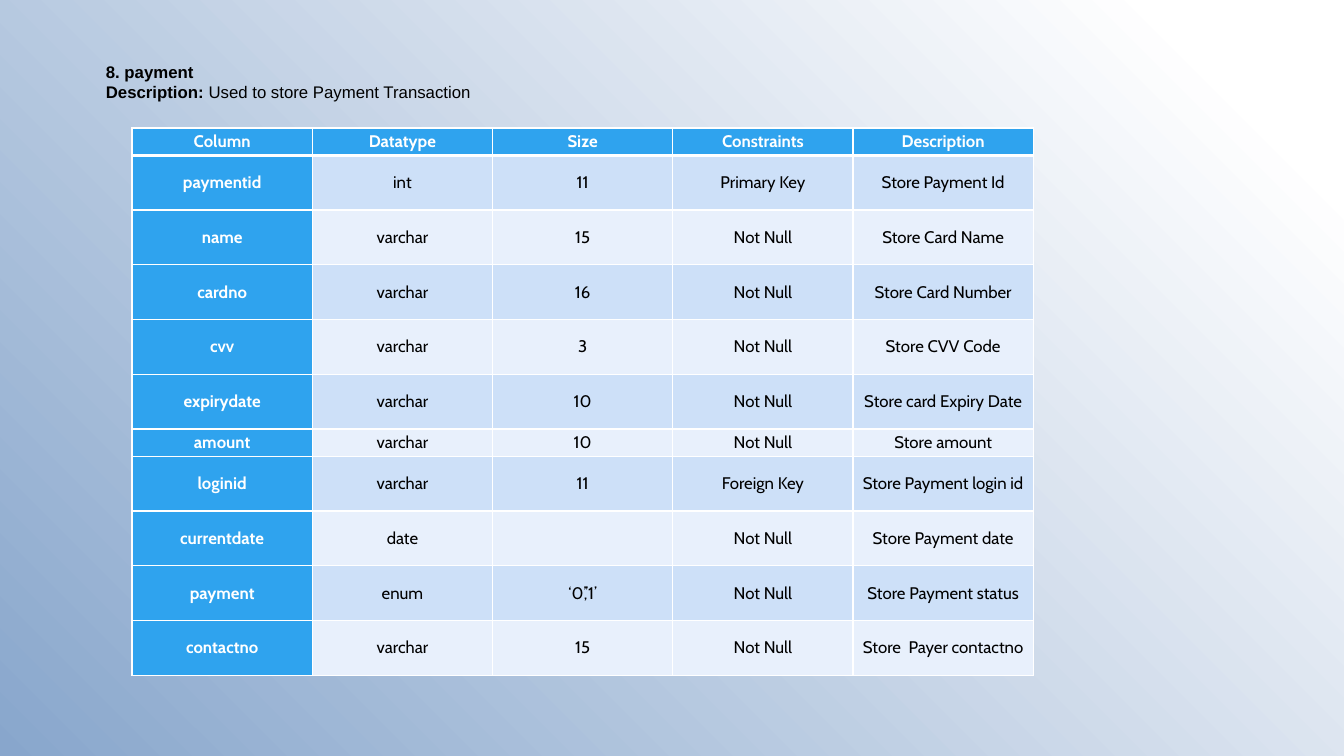
from lxml import etree
from pptx import Presentation, util as u
from pptx.dml.color import RGBColor
from pptx.enum import text
from pptx.oxml import ns

# Content
HEADING = [
    [("8. payment", True)],
    [("Description: ", True), ("Used to store Payment Transaction", False)],
]
FIELDS = [
    ("Column", "Datatype", "Size", "Constraints", "Description"),
    ("paymentid", "int", "11", "Primary Key", "Store Payment Id"),
    ("name", "varchar", "15", "Not Null", "Store Card Name"),
    ("cardno", "varchar", "16", "Not Null", "Store Card Number"),
    ("cvv", "varchar", "3", "Not Null", "Store CVV Code"),
    ("expirydate", "varchar", "10", "Not Null", "Store card Expiry Date"),
    ("amount", "varchar", "10", "Not Null", "Store amount"),
    ("loginid", "varchar", "11", "Foreign Key", "Store Payment login id"),
    ("currentdate", "date", "", "Not Null", "Store Payment date"),
    ("payment", "enum", "‘0’,’1’", "Not Null", "Store Payment status"),
    ("contactno", "varchar", "15", "Not Null", "Store  Payer contactno"),
]
SINGLE_ROWS = ("Column", "amount")  # all other rows are two units high

# Look
COLORS = {"white": "FFFFFF", "black": "000000", "haze": "88A6CC",
          "header": "2FA3EE", "odd": "CDE0F8", "even": "E8F0FC"}
TABLE = {"left": 1.31, "top": 1.27, "width": 8.94, "height": 5.43}
TITLE = {"left": 0.95, "top": 0.56, "width": 11.43, "height": 0.5}
CELL = {"margin_left": u.Inches(0.07), "margin_right": u.Inches(0.07),
        "margin_top": 0, "margin_bottom": 0,
        "vertical_anchor": text.MSO_ANCHOR.MIDDLE}
FRAME = {"word_wrap": True, "auto_size": text.MSO_AUTO_SIZE.NONE,
         "vertical_anchor": text.MSO_ANCHOR.MIDDLE}


def color(name):
    return RGBColor.from_string(COLORS[name])


def apply(target, values):
    for key, value in values.items():
        setattr(target, key, value)


def add_span(para, words, font, bold, ink):
    span = para.add_run()
    span.text = words
    apply(span.font, {"name": font, "size": u.Pt(12), "bold": bold})
    span.font.color.rgb = color(ink)


def add_borders(cell, widths):
    props = cell._tc.get_or_add_tcPr()
    for side, points in widths.items():
        line = etree.SubElement(props, ns.qn(f"a:ln{side}"), w=str(u.Pt(points)))
        fill = etree.SubElement(line, ns.qn("a:solidFill"))
        etree.SubElement(fill, ns.qn("a:srgbClr"), val=COLORS["white"])


def add_background(page):
    fill = page.background.fill
    fill.gradient()
    fill.gradient_angle = 225
    for stop, (name, position) in zip(fill.gradient_stops,
                                      [("white", 0.09), ("haze", 1)]):
        stop.color.rgb = color(name)
        stop.position = position


def add_title(page):
    title = page.shapes.title
    apply(title, {key: u.Inches(value) for key, value in TITLE.items()})
    frame = title.text_frame
    apply(frame, FRAME)
    for index, spans in enumerate(HEADING):
        para = frame.add_paragraph() if index else frame.paragraphs[0]
        para.alignment = text.PP_ALIGN.LEFT
        for words, bold in spans:
            add_span(para, words, "Arial", bold, "black")


def add_fields(page):
    place = [u.Inches(value) for value in TABLE.values()]
    grid = page.shapes.add_table(len(FIELDS), len(FIELDS[0]), *place).table
    for column in grid.columns:
        column.width = u.Inches(TABLE["width"] / len(FIELDS[0]))
    units = [1 if field[0] in SINGLE_ROWS else 2 for field in FIELDS]
    for r, field in enumerate(FIELDS):
        grid.rows[r].height = u.Inches(TABLE["height"] * units[r] / sum(units))
        for c, words in enumerate(field):
            cell = grid.cell(r, c)
            apply(cell, CELL)
            # The rule under the header row is heavier
            add_borders(cell, {"L": 1, "R": 1, "T": 3 if r == 1 else 1,
                               "B": 3 if r == 0 else 1})
            strong = r == 0 or c == 0
            cell.fill.solid()
            cell.fill.fore_color.rgb = color(
                "header" if strong else "odd" if r % 2 else "even")
            para = cell.text_frame.paragraphs[0]
            para.alignment = text.PP_ALIGN.CENTER
            if words:
                add_span(para, words, "Cabin", strong,
                         "white" if strong else "black")


def main():
    deck = Presentation()
    deck.slide_width, deck.slide_height = u.Inches(13.33), u.Inches(7.5)
    page = deck.slides.add_slide(deck.slide_layouts.get_by_name("Title Only"))
    add_background(page)
    add_title(page)
    add_fields(page)
    deck.save("out.pptx")


if __name__ == "__main__":
    main()
